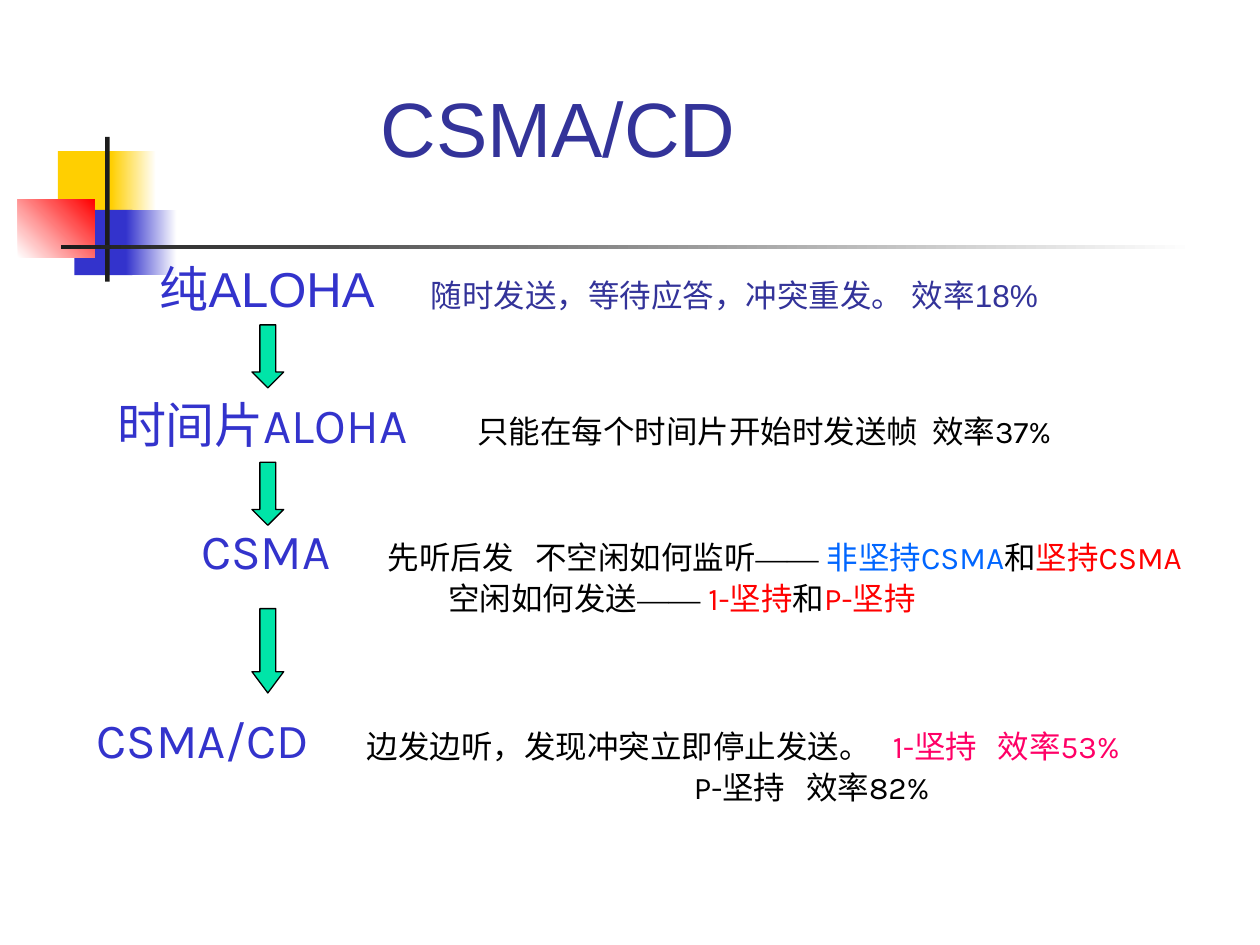
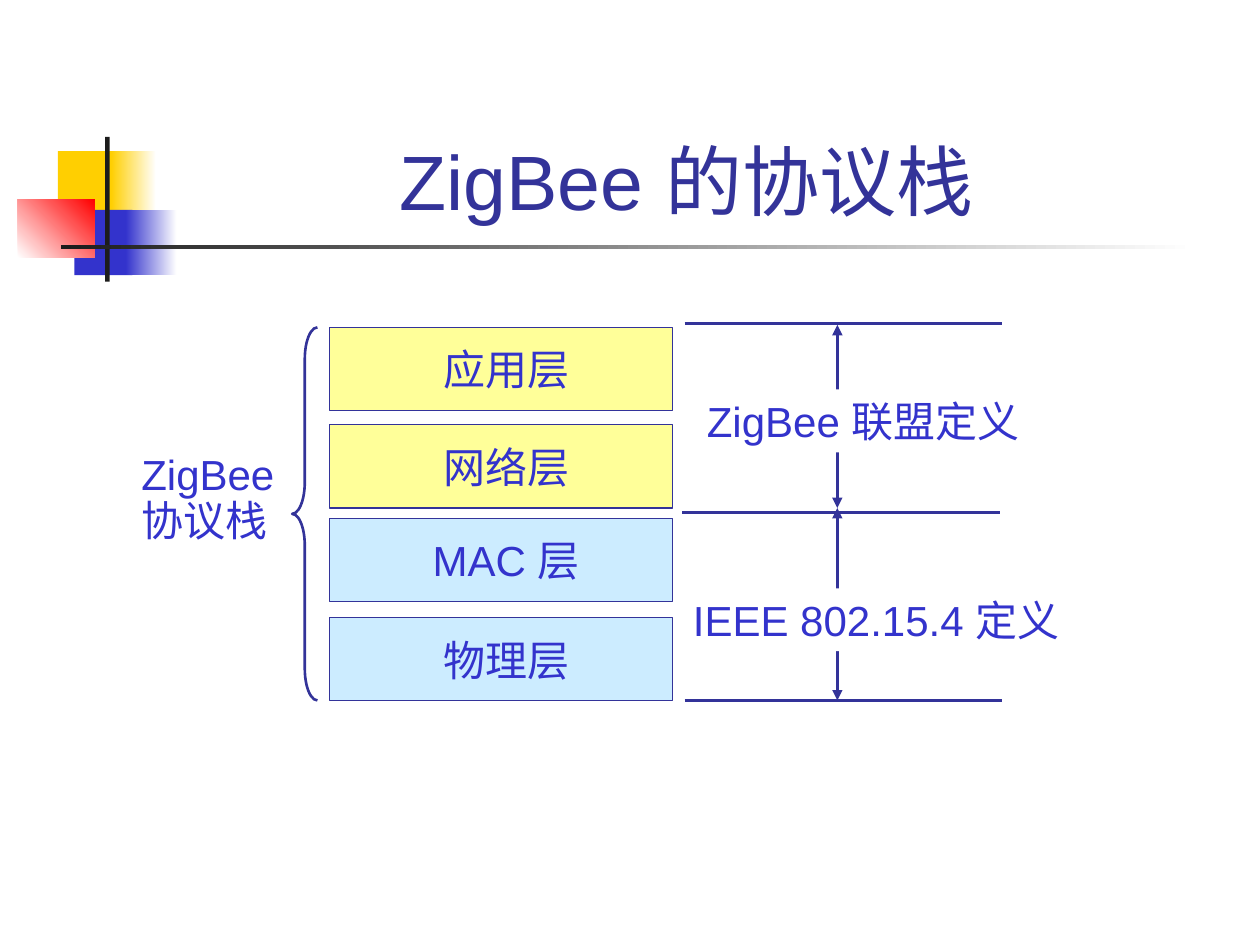
from pptx import Presentation
from pptx.dml.color import RGBColor
from pptx.enum.shapes import MSO_CONNECTOR, MSO_SHAPE
from pptx.enum.text import MSO_ANCHOR, PP_ALIGN
from pptx.oxml.ns import qn
from pptx.util import Cm, Pt
from lxml.etree import SubElement

# Colours
NAVY = RGBColor(0x33, 0x33, 0x99)
BLUE = RGBColor(0x33, 0x33, 0xCC)
SKY = RGBColor(0x00, 0x66, 0xFF)
RED = RGBColor(0xFF, 0x00, 0x00)
PINK = RGBColor(0xFF, 0x00, 0x66)
GOLD = RGBColor(0xFF, 0xCF, 0x01)
GREEN = RGBColor(0x00, 0xE4, 0xA8)
YELLOW = RGBColor(0xFF, 0xFF, 0x99)
PALE_BLUE = RGBColor(0xCC, 0xEC, 0xFF)
CHARCOAL = RGBColor(0x1C, 0x1C, 0x1C)
BLACK = RGBColor(0x00, 0x00, 0x00)
WHITE = RGBColor(0xFF, 0xFF, 0xFF)

# Fonts
ARIAL, KARLA, TIMES = "Arial", "Karla", "Times New Roman"


def box(left, top, width, height):
    return Cm(left), Cm(top), Cm(width), Cm(height)


def style_run(r, size, color, font=ARIAL):
    r.font.size = Pt(size)
    r.font.color.rgb = color
    r.font.name = font
    SubElement(r.font._element, qn("a:ea")).set("typeface", font)


def style_text(tf, size, color, align=PP_ALIGN.LEFT):
    for p in tf.paragraphs:
        p.alignment = align
        for r in p.runs:
            style_run(r, size, color)


def add_shape(s, kind, place, fill=None, line=None, weight=0.75):
    sp = s.shapes.add_shape(kind, *box(*place))
    sp.shadow.inherit = False
    if fill is None:
        sp.fill.background()
    else:
        sp.fill.solid()
        sp.fill.fore_color.rgb = fill
    if line is None:
        sp.line.fill.background()
    else:
        sp.line.color.rgb = line
        sp.line.width = Pt(weight)
    return sp


def add_fade(s, place, start, end, angle=0):
    sp = add_shape(s, MSO_SHAPE.RECTANGLE, place)
    sp.fill.gradient()
    sp.fill.gradient_angle = angle
    for stop, color in zip(sp.fill.gradient_stops, (start, end)):
        stop.color.rgb = color


def add_line(s, x1, y1, x2, y2, arrows=False):
    line = s.shapes.add_connector(MSO_CONNECTOR.STRAIGHT, Cm(x1), Cm(y1), Cm(x2), Cm(y2))
    line.line.color.rgb = NAVY
    line.line.width = Pt(1.5)
    if arrows:
        ln = line.line._get_or_add_ln()
        for end in ("a:headEnd", "a:tailEnd"):
            SubElement(ln, qn(end)).set("type", "triangle")
    SubElement(line._element.spPr, qn("a:effectLst"))


def add_label(s, place, text, fill=None):
    sp = s.shapes.add_textbox(*box(*place))
    if fill is not None:
        sp.fill.solid()
        sp.fill.fore_color.rgb = fill
    tf = sp.text_frame
    tf.word_wrap = True
    tf.text = text
    style_text(tf, 24, BLUE)
    return tf


def add_row(s, place, lines):
    """Each line is a list of tab positions and a list of (text, size, colour, font) runs."""
    tf = s.shapes.add_textbox(*box(*place)).text_frame
    tf.word_wrap = True
    for i, (tabs, runs) in enumerate(lines):
        p = tf.add_paragraph() if i else tf.paragraphs[0]
        tab_list = SubElement(p._p.get_or_add_pPr(), qn("a:tabLst"))
        for position in tabs:
            tab = SubElement(tab_list, qn("a:tab"))
            tab.set("pos", str(Cm(position)))
            tab.set("algn", "l")
        for text, *look in runs:
            r = p.add_run()
            r.text = text
            style_run(r, *look)


def add_title(s, place, text, align=PP_ALIGN.LEFT):
    tf = s.shapes.add_textbox(*box(*place)).text_frame
    tf.word_wrap = True
    tf.vertical_anchor = MSO_ANCHOR.BOTTOM
    tf.text = text
    style_text(tf, 44, NAVY, align)


def add_band(s):
    add_shape(s, MSO_SHAPE.RECTANGLE, (1.17, 3.05, 1.22, 1.32), GOLD)
    add_fade(s, (2.24, 3.05, 0.91, 1.32), GOLD, WHITE)
    add_shape(s, MSO_SHAPE.RECTANGLE, (1.5, 4.23, 1.17, 1.32), BLUE)
    add_fade(s, (2.54, 4.23, 1.02, 1.32), BLUE, WHITE)
    add_fade(s, (0.36, 4.02, 1.55, 1.17), WHITE, RED, 45)
    add_shape(s, MSO_SHAPE.RECTANGLE, (2.12, 2.76, 0.09, 2.92), CHARCOAL)
    add_fade(s, (1.23, 4.94, 22.86, 0.09), CHARCOAL, WHITE)


def new_slide(prs):
    s = prs.slides.add_slide(prs.slide_layouts[6])
    add_band(s)
    return s


def build_csma(prs):
    s = new_slide(prs)
    add_title(s, (7.42, 1.07, 8.86, 2.54), "CSMA/CD")

    def head(text, font=KARLA):
        return text + "\t", 28, BLUE, font

    def note(text, color=BLACK, font=KARLA):
        return text, 18, color, font

    dash = note("—— ", BLACK, TIMES)

    # Protocols, each with its rule and efficiency
    add_row(s, (2.97, 5.08, 18.62, 1.8), [
        ([5.46], [head("纯ALOHA", ARIAL),
                  note("随时发送，等待应答，冲突重发。 效率18%", NAVY, ARIAL)])])
    add_row(s, (2.11, 7.82, 20.75, 1.45), [
        ([7.26, 16.43], [head("时间片ALOHA"),
                         note("只能在每个时间片开始时发送帧\t效率37%")])])
    add_row(s, (3.81, 10.36, 21.3, 2.97), [
        ([3.76, 6.73], [head("CSMA"), note("先听后发\t不空闲如何监听"), dash,
                        note("非坚持CSMA", SKY), note("和"), note("坚持CSMA", RED)]),
        ([4.98], [note("\t空闲如何发送"), dash,
                  note("1-坚持", RED), note("和"), note("P-坚持", RED)])])
    add_row(s, (1.7, 14.17, 22.66, 2.21), [
        ([5.44, 16.05, 18.16], [head("CSMA/CD"), note("边发边听，发现冲突立即停止发送。\t"),
                                note("1-坚持\t效率53%", PINK)]),
        ([12.04, 14.3], [note("\tP-坚持\t效率82%")])])

    # Arrows from one protocol to the next
    for top, height, tip in ((6.55, 1.27, 0.5), (9.32, 1.27, 0.5), (12.27, 1.7, 0.67)):
        arrow = add_shape(s, MSO_SHAPE.DOWN_ARROW, (5.08, top, 0.64, height), GREEN, BLACK)
        arrow.adjustments[1] = tip


def build_zigbee(prs):
    s = new_slide(prs)
    add_title(s, (3.24, 0.61, 21.64, 4.06), "ZigBee 的协议栈 ", PP_ALIGN.CENTER)

    # Layers of the stack
    layers = (("应用层", 6.6, YELLOW), ("网络层", 8.56, YELLOW),
              ("MAC 层", 10.45, PALE_BLUE), ("物理层", 12.45, PALE_BLUE))
    for name, top, fill in layers:
        layer = add_shape(s, MSO_SHAPE.RECTANGLE, (6.65, top, 6.91, 1.68), fill, NAVY)
        tf = layer.text_frame
        tf.margin_left = Cm(0.45)
        tf.text = name
        style_text(tf, 24, BLUE, PP_ALIGN.CENTER)

    # Who defines which layers
    for left, y in ((13.8, 6.52), (13.75, 10.33), (13.8, 14.12)):
        add_line(s, left, y, left + 6.4, y)
    add_line(s, 16.88, 10.24, 16.88, 14.12, arrows=True)
    add_label(s, (13.72, 11.86, 8.4, 1.27), "IEEE 802.15.4 定义", WHITE)
    add_line(s, 16.88, 6.55, 16.88, 10.24, arrows=True)
    add_label(s, (14, 7.85, 7.3, 1.27), "ZigBee 联盟定义", WHITE)

    # Brace and name of the whole stack
    brace = add_shape(s, MSO_SHAPE.LEFT_BRACE, (5.89, 6.6, 0.51, 7.52), line=NAVY, weight=1.5)
    brace.adjustments[0] = 1.25
    tf = add_label(s, (2.6, 9.04, 3.5, 2.08), "ZigBee\n协议栈")
    tf.margin_right = 0
    for p in tf.paragraphs:
        p.line_spacing = 0.9


def main():
    prs = Presentation()
    prs.slide_width, prs.slide_height = Cm(25.4), Cm(19.05)
    build_csma(prs)
    build_zigbee(prs)
    prs.save("out.pptx")


if __name__ == "__main__":
    main()
